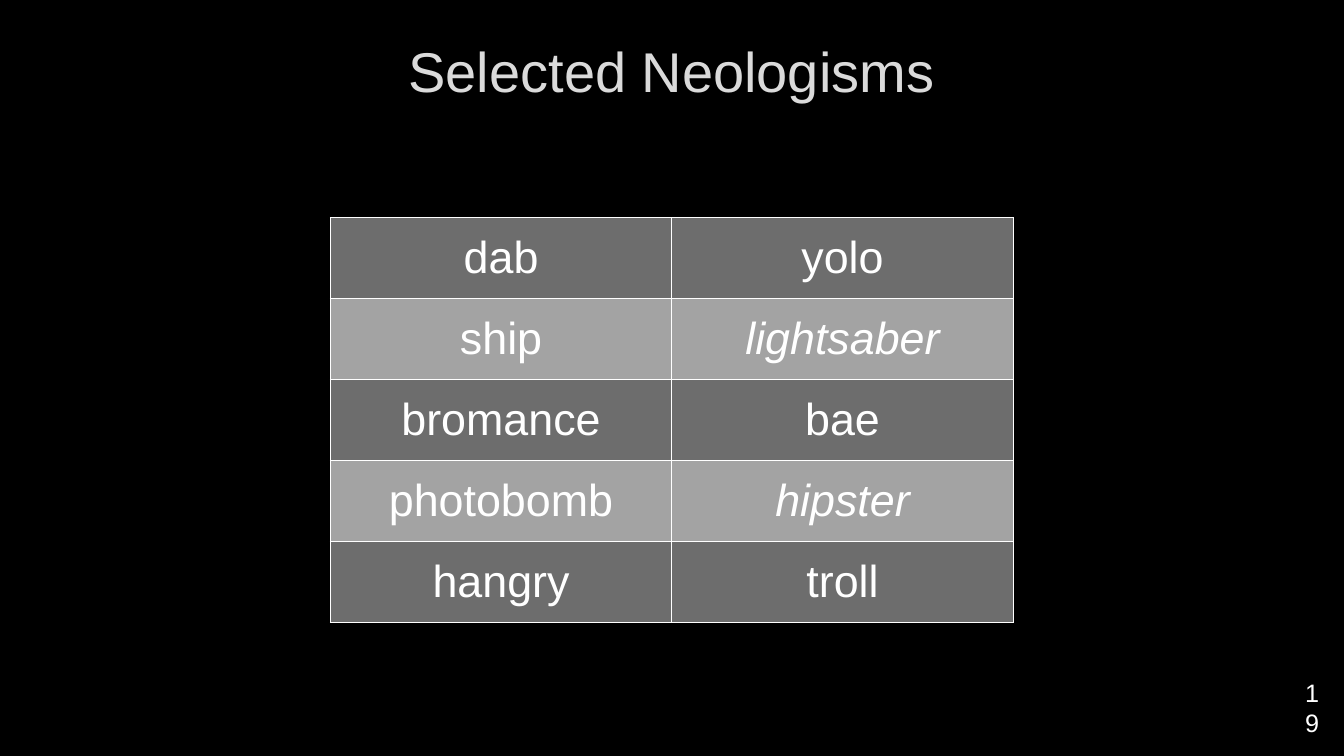
from dataclasses import dataclass

import lxml.etree
import pptx
import pptx.dml.color
import pptx.enum.text
import pptx.oxml.ns
import pptx.util

Pt = pptx.util.Pt
ALIGN = pptx.enum.text.PP_ALIGN
MIDDLE = pptx.enum.text.MSO_ANCHOR.MIDDLE

WHITE = "FFFFFF"
ROW_FILLS = ("6D6D6D", "A3A3A3")
COLUMN_WIDTH = 243.9
ROW_HEIGHT = 57.8


@dataclass(frozen=True)
class Word:
    text: str
    italic: bool = False


WORD_ROWS = (
    (Word("dab"), Word("yolo")),
    (Word("ship"), Word("lightsaber", italic=True)),
    (Word("bromance"), Word("bae")),
    (Word("photobomb"), Word("hipster", italic=True)),
    (Word("hangry"), Word("troll")),
)


def set_color(target, value: str) -> None:
    target.rgb = pptx.dml.color.RGBColor.from_string(value)


def set_fill(fill, value: str) -> None:
    fill.solid()
    set_color(fill.fore_color, value)


def write(frame, text: str, size: float, color: str, align, italic: bool = False):
    para = frame.paragraphs[0]
    para.text = text
    para.alignment = align
    para.font.name = "Arial"
    para.font.size = Pt(size)
    para.font.italic = italic
    set_color(para.font.color, color)
    return para


def make_line(tag: str, width: float, color: str, opacity: int = 100):
    qn = pptx.oxml.ns.qn
    line = lxml.etree.Element(qn(tag), w=str(Pt(width)))
    fill = lxml.etree.SubElement(line, qn("a:solidFill"))
    shade = lxml.etree.SubElement(fill, qn("a:srgbClr"), val=color)
    if opacity < 100:
        lxml.etree.SubElement(shade, qn("a:alpha"), val=str(opacity * 1000))
    return line


def add_title(page) -> None:
    title = page.shapes.title
    title.left, title.top = Pt(72), Pt(12.24)
    title.width, title.height = Pt(815), Pt(76.3)
    title.text_frame.vertical_anchor = MIDDLE
    para = write(title.text_frame, "Selected Neologisms", 40, "DADADA", ALIGN.CENTER)
    properties = para.runs[0]._r.get_or_add_rPr()
    properties.insert(0, make_line("a:ln", 0.75, "404040", 10))


def add_word_table(page) -> None:
    row_count, column_count = len(WORD_ROWS), len(WORD_ROWS[0])
    table = page.shapes.add_table(
        row_count, column_count, Pt(236), Pt(155.5),
        Pt(COLUMN_WIDTH * column_count), Pt(ROW_HEIGHT * row_count),
    ).table
    table.first_row = False
    table.horz_banding = False
    for row_index, words in enumerate(WORD_ROWS):
        for column_index, word in enumerate(words):
            cell = table.cell(row_index, column_index)
            cell.vertical_anchor = MIDDLE
            write(cell.text_frame, word.text, 32, WHITE, ALIGN.CENTER, word.italic)
            set_fill(cell.fill, ROW_FILLS[row_index % 2])
            for position, side in enumerate("LRTB"):
                border = make_line(f"a:ln{side}", 1, WHITE)
                cell._tc.get_or_add_tcPr().insert(position, border)


def add_page_number(page) -> None:
    box = page.shapes.add_textbox(Pt(925.2), Pt(480.2), Pt(33.8), Pt(28.8))
    box.text_frame.word_wrap = True
    write(box.text_frame, "19", 18, WHITE, ALIGN.LEFT)


def main() -> None:
    deck = pptx.Presentation()
    deck.slide_width, deck.slide_height = Pt(960), Pt(540)
    page = deck.slides.add_slide(deck.slide_layouts.get_by_name("Title Only"))
    set_fill(page.background.fill, "000000")
    add_title(page)
    add_word_table(page)
    add_page_number(page)
    deck.save("out.pptx")


if __name__ == "__main__":
    main()
